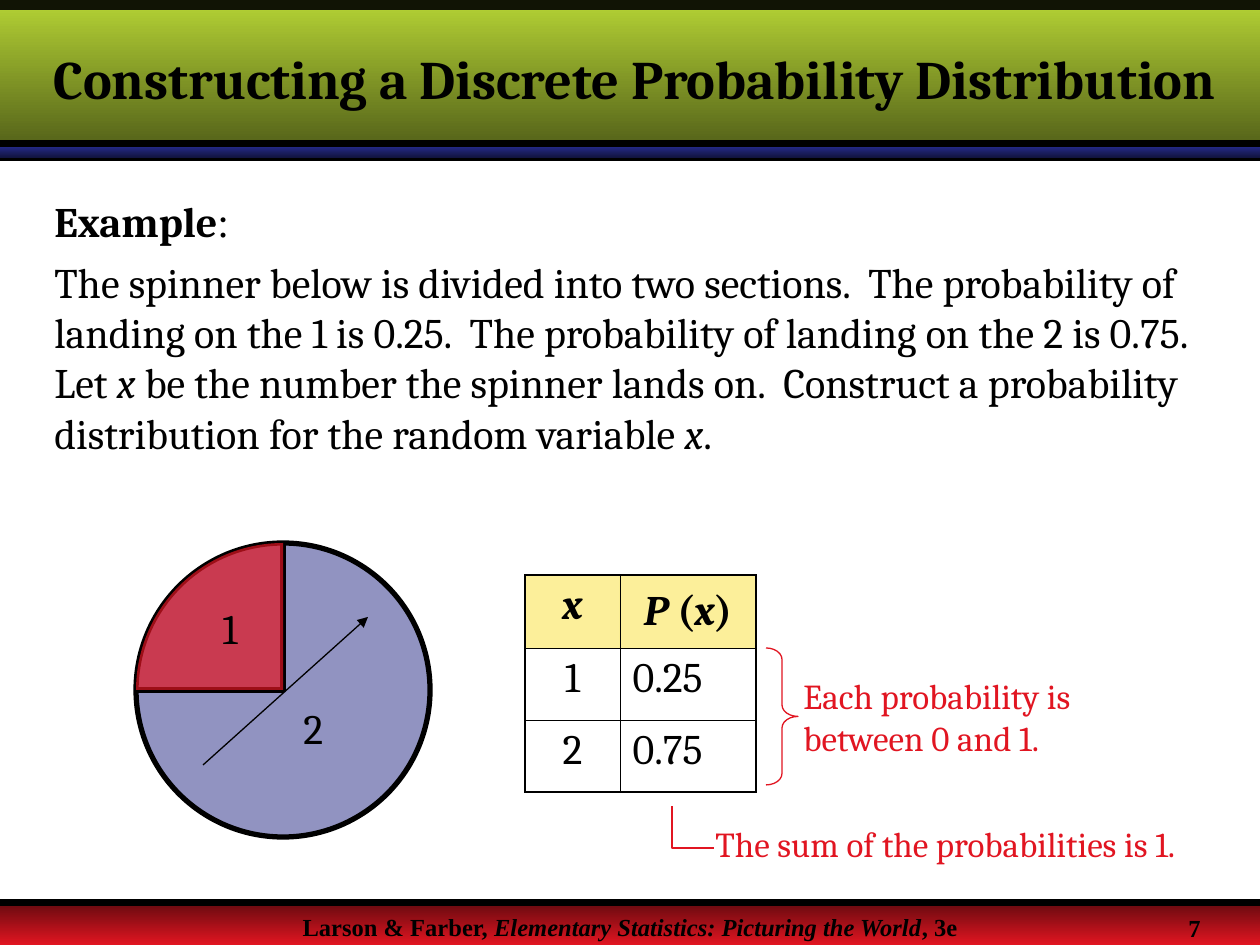
from lxml.etree import SubElement
from pptx import Presentation
from pptx.dml.color import RGBColor
from pptx.enum.shapes import MSO_CONNECTOR, MSO_SHAPE
from pptx.enum.text import MSO_ANCHOR, PP_ALIGN
from pptx.oxml.ns import qn
from pptx.util import Emu, Pt

SCALE = 914400 / 126
WIDTH, HEIGHT = 1260, 945
COLORS = {
    "black": "000000", "navy": "242985", "dark_navy": "11133E",
    "lime": "B5D335", "olive": "546219", "red": "E11521",
    "dark_red": "680A0F", "yellow": "FBE136",
}
SERIF, TIMES = "Cambria", "Times New Roman"
BOLD, ITALIC = {"bold": True}, {"italic": True}


def px(value):
    return Emu(round(value * SCALE))


def rgb(name):
    return RGBColor.from_string(COLORS[name])


def set_fill(fill, color, opacity=100):
    fill.solid()
    fill.fore_color.rgb = rgb(color)
    if opacity < 100:
        color_element = fill._xPr.find(qn("a:solidFill"))[0]
        SubElement(color_element, qn("a:alpha"), val=str(opacity * 1000))


def set_line(line, color, points):
    line.color.rgb = rgb(color)
    line.width = Pt(points)


def write(paragraph, runs, size, font=SERIF, color="black", align=PP_ALIGN.LEFT, **style):
    """Fill a paragraph with plain strings or (text, font overrides) pairs."""
    paragraph.alignment = align
    paragraph.font.name = font
    paragraph.font.size = Pt(size)
    paragraph.font.color.rgb = rgb(color)
    for key, value in style.items():
        setattr(paragraph.font, key, value)
    for item in runs:
        text, overrides = (item, {}) if isinstance(item, str) else item
        run = paragraph.add_run()
        run.text = text
        for key, value in overrides.items():
            setattr(run.font, key, value)


def add_text(slide, box, runs, size, anchor=MSO_ANCHOR.TOP, **style):
    frame = slide.shapes.add_textbox(*map(px, box)).text_frame
    frame.word_wrap = True
    frame.vertical_anchor = anchor
    write(frame.paragraphs[0], runs, size, **style)
    return frame


def add_shape(slide, kind, box):
    shape = slide.shapes.add_shape(kind, *map(px, box))
    shape.shadow.inherit = False
    shape.line.fill.background()
    return shape


def add_gradient_band(slide, top, height, start, end):
    band = add_shape(slide, MSO_SHAPE.RECTANGLE, (0, top, WIDTH, height))
    band.fill.gradient()
    band.fill.gradient_angle = 270
    for stop, color in zip(band.fill.gradient_stops, (start, end)):
        stop.color.rgb = rgb(color)


def add_line(slide, start, end, points, arrow=False):
    line = slide.shapes.add_connector(MSO_CONNECTOR.STRAIGHT, *map(px, start + end))
    set_line(line.line, "black", points)
    if arrow:
        SubElement(line.line._get_or_add_ln(), qn("a:tailEnd"), type="triangle")
    SubElement(line._element.spPr, qn("a:effectLst"))


def add_rule(slide, y):
    add_line(slide, (0, y), (WIDTH, y), 4)


def add_corner(slide, points, color, width):
    """Draw an open line through the given points."""
    builder = slide.shapes.build_freeform(*points[0], scale=SCALE)
    builder.add_line_segments(points[1:], close=False)
    corner = builder.convert_to_shape()
    corner.shadow.inherit = False
    corner.fill.background()
    set_line(corner.line, color, width)


def add_frame(slide):
    add_gradient_band(slide, 903, 42, "dark_red", "red")
    add_rule(slide, 158)
    add_text(slide, (0, 906, WIDTH, 25),
             ["Larson & Farber, ",
              ("Elementary Statistics: Picturing the World", ITALIC), ", 3e"],
             14, font=TIMES, align=PP_ALIGN.CENTER, bold=True)
    add_gradient_band(slide, 147, 11, "navy", "dark_navy")
    add_gradient_band(slide, 0, 147, "lime", "olive")
    add_rule(slide, 903)
    strip = add_shape(slide, MSO_SHAPE.RECTANGLE, (0, 0, WIDTH, 10))
    set_fill(strip.fill, "black", 90)
    add_rule(slide, 144)
    add_text(slide, (1176, 907, 84, 38), ["7"], 14, font=TIMES, bold=True)


def add_example(slide):
    frame = add_text(slide, (42, 189, 1187, 239),
                     [("Example", BOLD), (":", {"name": TIMES})], 24)
    paragraph = frame.add_paragraph()
    paragraph.space_before = Pt(6)
    write(paragraph, [
        "The spinner below is divided into two sections.  The probability of landing "
        "on the 1 is 0.25.  The probability of landing on the 2 is 0.75.  Let ",
        ("x", ITALIC),
        " be the number the spinner lands on.  Construct a probability distribution "
        "for the random variable ",
        ("x", ITALIC), "."], 24)


def add_spinner(slide):
    left, top, diameter = 136, 543, 294
    center_x, center_y = left + diameter // 2, top + diameter // 2
    box = (left, top, diameter, diameter)
    disc = add_shape(slide, MSO_SHAPE.OVAL, box)
    set_fill(disc.fill, "navy", 50)
    set_line(disc.line, "black", 3)
    add_corner(slide, [(left, center_y), (center_x, center_y), (center_x, top)], "black", 3)
    add_text(slide, (291, 696, 73, 63), ["2"], 24)
    quarter = add_shape(slide, MSO_SHAPE.PIE, box)
    quarter.adjustments[0] = 108  # 180 degrees
    quarter.adjustments[1] = 162  # 270 degrees
    set_fill(quarter.fill, "red", 70)
    add_text(slide, (210, 596, 73, 63), ["1"], 24)
    add_line(slide, (203, 765), (368, 617), 0.75, arrow=True)


def add_border(cell, side, points):
    border = SubElement(cell._tc.get_or_add_tcPr(), qn(f"a:ln{side}"), w=str(Pt(points)))
    fill = SubElement(border, qn("a:solidFill"))
    SubElement(fill, qn("a:srgbClr"), val=COLORS["black"])


def add_distribution(slide):
    rows = [[["x"], ["P", (" (", {"italic": False}), "x", (")", {"italic": False})]],
            [["1"], ["0.25"]],
            [["2"], ["0.75"]]]
    widths, heights = (95, 136), (73, 72, 72)
    table = slide.shapes.add_table(3, 2, px(525), px(575), px(sum(widths)),
                                   px(sum(heights))).table
    table.first_row = table.horz_banding = False
    for column, width in zip(table.columns, widths):
        column.width = px(width)
    for r, (row, height) in enumerate(zip(rows, heights)):
        table.rows[r].height = px(height)
        for c, runs in enumerate(row):
            cell = table.cell(r, c)
            header = r == 0
            outer_sides = {"L": c == 0, "R": c == 1, "T": header, "B": r == 2}
            for side, outer in outer_sides.items():
                add_border(cell, side, 1.08 if outer else 0.45)
            if header:
                set_fill(cell.fill, "yellow", 50)
            else:
                cell.fill.background()
            centered = header or c == 0
            write(cell.text_frame.paragraphs[0], runs, 24, bold=header, italic=header,
                  align=PP_ALIGN.CENTER if centered else PP_ALIGN.LEFT)
    table.cell(0, 1).vertical_anchor = MSO_ANCHOR.MIDDLE


def add_remarks(slide):
    add_text(slide, (791, 668, 357, 97), ["Each probability is between 0 and 1."],
             20, color="red")
    brace = add_shape(slide, MSO_SHAPE.RIGHT_BRACE, (766, 648, 32, 137))
    brace.adjustments[0] = 0.36
    brace.fill.background()
    set_line(brace.line, "red", 0.75)
    add_text(slide, (703, 816, 557, 55), ["The sum of the probabilities is 1."],
             20, color="red")
    add_corner(slide, [(672, 806), (672, 848), (714, 848)], "red", 0.75)


def main():
    presentation = Presentation()
    presentation.slide_width, presentation.slide_height = px(WIDTH), px(HEIGHT)
    slide = presentation.slides.add_slide(presentation.slide_layouts[6])
    add_frame(slide)
    add_text(slide, (-32, 10, 1333, 136), ["Constructing a Discrete Probability Distribution"],
             31, anchor=MSO_ANCHOR.MIDDLE, align=PP_ALIGN.CENTER, bold=True)
    add_example(slide)
    add_spinner(slide)
    add_distribution(slide)
    add_remarks(slide)
    presentation.save("out.pptx")


if __name__ == "__main__":
    main()
